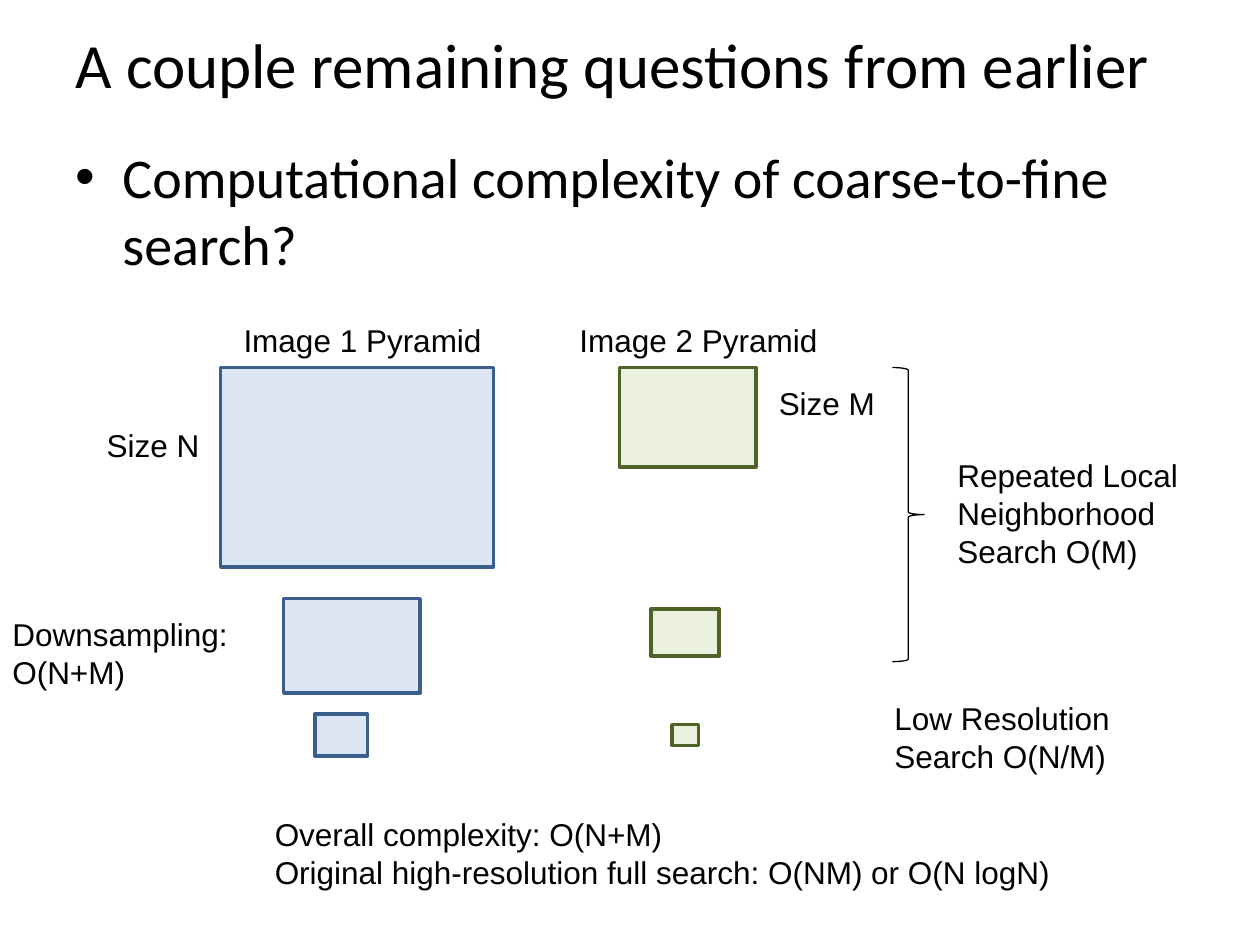
"""Build a slide on the computational complexity of coarse-to-fine search."""
from dataclasses import dataclass

import lxml.etree
import pptx
import pptx.dml.color
import pptx.enum.shapes
import pptx.enum.text
import pptx.oxml.ns
import pptx.util

Cm = pptx.util.Cm
Pt = pptx.util.Pt
RGB = pptx.dml.color.RGBColor.from_string
Shape = pptx.enum.shapes.MSO_SHAPE
Anchor = pptx.enum.text.MSO_ANCHOR


@dataclass(frozen=True)
class Theme:
    ink: RGB = RGB("000000")
    blue_fill: RGB = RGB("DCE6F2")
    blue_line: RGB = RGB("3A5F8C")
    green_fill: RGB = RGB("EBF1DE")
    green_line: RGB = RGB("4F6228")
    heading_font: str = "Calibri"
    label_font: str = "Arial"
    title_size: Pt = Pt(36)
    body_size: Pt = Pt(32)
    label_size: Pt = Pt(18)
    box_line: Pt = Pt(2)
    brace_line: Pt = Pt(0.75)


theme = Theme()
presentation = pptx.Presentation()
presentation.slide_width = Cm(25.4)
presentation.slide_height = Cm(19.05)
slide = presentation.slides.add_slide(presentation.slide_layouts[6])


def add_text(lines, box, font_name, size, wrap=True):
    text_box = slide.shapes.add_textbox(*map(Cm, box))
    frame = text_box.text_frame
    frame.word_wrap = wrap
    frame.text = "\n".join(lines)
    for paragraph in frame.paragraphs:
        paragraph.font.name = font_name
        paragraph.font.size = size
        paragraph.font.color.rgb = theme.ink
    return frame


def add_outline(kind, box, line_color, line_width, fill=None):
    shape = slide.shapes.add_shape(kind, *map(Cm, box))
    shape.shadow.inherit = False
    if fill is None:
        shape.fill.background()
    else:
        shape.fill.solid()
        shape.fill.fore_color.rgb = fill
    shape.line.color.rgb = line_color
    shape.line.width = line_width


title = add_text(["A couple remaining questions from earlier"],
                 (1.27, 0, 24.13, 2.54), theme.heading_font, theme.title_size)
title.vertical_anchor = Anchor.MIDDLE

body = add_text(["Computational complexity of coarse-to-fine search?"],
                (1.27, 2.75, 22.86, 14.27), theme.heading_font, theme.body_size)
properties = body.paragraphs[0]._p.get_or_add_pPr()
properties.set("marL", str(Cm(0.95)))
properties.set("indent", str(Cm(-0.95)))
bullet_font = lxml.etree.Element(pptx.oxml.ns.qn("a:buFont"), typeface="Arial")
bullet = lxml.etree.Element(pptx.oxml.ns.qn("a:buChar"), char="•")
properties.insert(0, bullet_font)
properties.insert(1, bullet)

pyramids = [
    (theme.blue_fill, theme.blue_line,
     [(4.45, 7.41, 5.5, 4.02), (5.72, 12.07, 2.75, 1.9), (6.35, 14.39, 1.06, 0.85)]),
    (theme.green_fill, theme.green_line,
     [(12.49, 7.41, 2.75, 2.01), (13.12, 12.28, 1.38, 0.95), (13.55, 14.61, 0.53, 0.42)]),
]
for fill, line_color, levels in pyramids:
    for level in levels:
        add_outline(Shape.RECTANGLE, level, line_color, theme.box_line, fill)

add_outline(Shape.RIGHT_BRACE, (17.99, 7.41, 0.64, 5.93), theme.ink, theme.brace_line)

labels = [
    (["Image 1 Pyramid"], (4.66, 6.35, 5.36, 1.03), False),
    (["Image 2 Pyramid"], (11.43, 6.35, 5.36, 1.03), False),
    (["Size N"], (1.9, 8.47, 2.41, 1.03), False),
    (["Size M"], (15.45, 7.62, 2.46, 1.03), False),
    (["Low Resolution Search O(N/M)"], (17.78, 13.97, 6.56, 1.8), True),
    (["Repeated Local Neighborhood Search O(M)"], (19.05, 9.07, 5.93, 2.57), True),
    (["Downsampling: O(N+M)"], (0, 12.28, 4.88, 1.8), True),
    (["Overall complexity: O(N+M)",
      "Original high-resolution full search: O(NM) or O(N logN)"],
     (5.29, 16.3, 16.28, 1.8), False),
]
for lines, box, wrap in labels:
    add_text(lines, box, theme.label_font, theme.label_size, wrap)

presentation.save("out.pptx")
